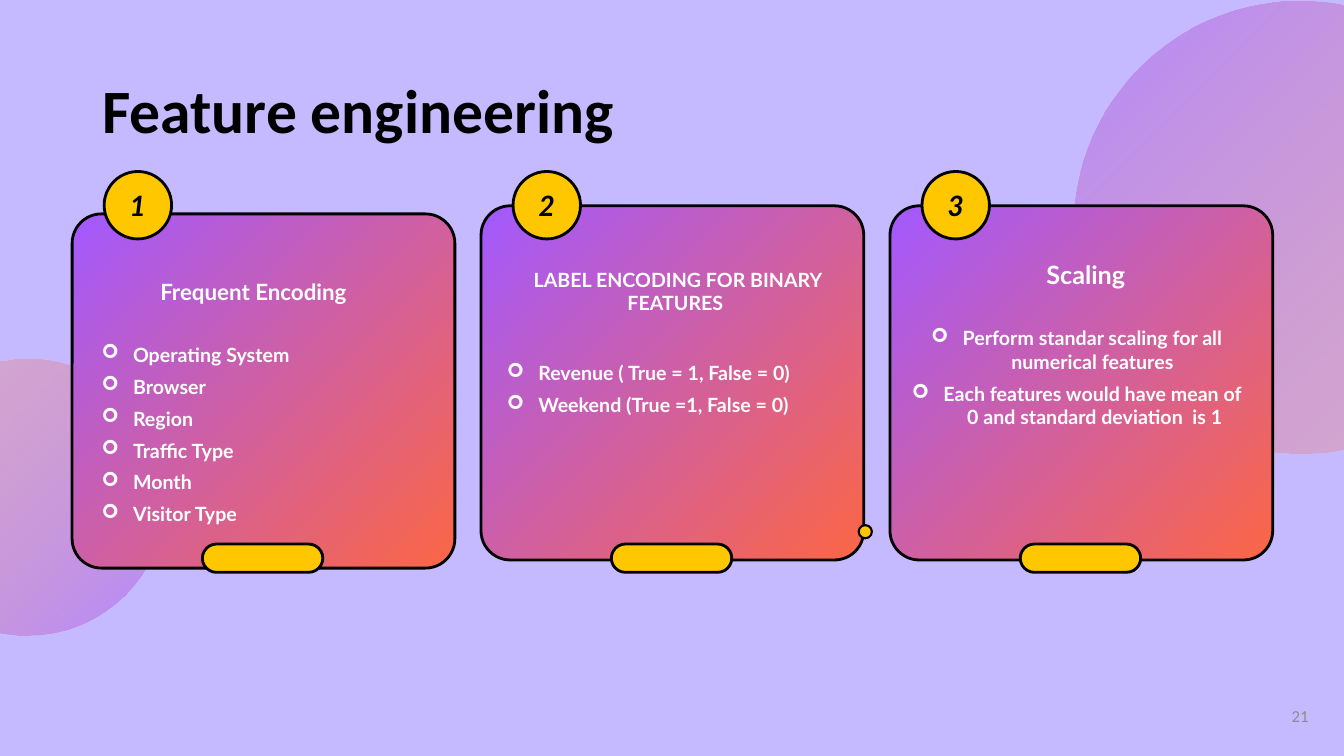
import math

import pptx
import pptx.util
import pptx.dml.color
import pptx.enum.shapes
import pptx.enum.text
import pptx.oxml.ns
from lxml import etree

Pt = pptx.util.Pt
RGBColor = pptx.dml.color.RGBColor
SHAPES = pptx.enum.shapes.MSO_SHAPE
ANCHOR = pptx.enum.text.MSO_ANCHOR
ALIGN = pptx.enum.text.PP_ALIGN
qn = pptx.oxml.ns.qn

LAVENDER = RGBColor(0xC5, 0xBA, 0xFF)
ORANGE = RGBColor(0xFC, 0x66, 0x45)
PURPLE = RGBColor(0xA2, 0x59, 0xFF)
YELLOW = RGBColor(0xFF, 0xC7, 0x00)
BLACK = RGBColor(0, 0, 0)
WHITE = RGBColor(0xFF, 0xFF, 0xFF)
GREY = RGBColor(0x8C, 0x8C, 0x8C)

TITLE = "Feature engineering"
PAGE_NUMBER = "21"
CARDS = [
    dict(top=152.8, heading="Frequent Encoding", heading_size=16,
         heading_at=(114.5, 195.1), heading_align=ALIGN.LEFT,
         points=["Operating System", "Browser", "Region", "Traffic Type", "Month",
                 "Visitor Type"],
         points_at=(72.5, 241.2), points_height=54.7, points_align=ALIGN.LEFT),
    dict(top=147, heading=" LABEL ENCODING FOR BINARY FEATURES", heading_size=14,
         heading_at=(364.3, 187.7), heading_align=ALIGN.CENTER,
         points=["Revenue ( True = 1, False = 0)", "Weekend (True =1, False = 0)"],
         points_at=(362, 254.2), points_height=54.7, points_align=ALIGN.LEFT),
    dict(top=147, heading="Scaling", heading_size=18,
         heading_at=(657.5, 181.4), heading_align=ALIGN.CENTER,
         points=["Perform standar scaling for all numerical features",
                 "Each features would have mean of  0 and standard deviation  is 1"],
         points_at=(651, 229.5), points_height=146.2, points_align=ALIGN.CENTER),
]

SLIDE_WIDTH, SLIDE_HEIGHT = 960, 540
BACKDROPS = [
    dict(center=(19.4, 355), radius=98.6, edge=0, side=1, angle=315),
    dict(center=(928.8, 162), radius=161.7, edge=SLIDE_WIDTH, side=-1, angle=135),
]
CARD_LEFT, CARD_PITCH, CARD_WIDTH, CARD_HEIGHT = 51.5, 292.1, 273.4, 253
BADGE_OFFSET, BADGE_TOP, BADGE_SIZE = 22.9, 122.5, 48.2
PILL_OFFSET, PILL_TOP, PILL_WIDTH, PILL_HEIGHT = 93.1, 388.6, 86, 20.2
TEXT_WIDTH, HEADING_HEIGHT = 236.2, 54.7
BULLET_INDENT = 22.5

deck = pptx.Presentation()
deck.slide_width, deck.slide_height = Pt(SLIDE_WIDTH), Pt(SLIDE_HEIGHT)
slide = deck.slides.add_slide(deck.slide_layouts[6])
slide.background.fill.solid()
slide.background.fill.fore_color.rgb = LAVENDER


def write(frame, lines, size, font="Lato", color=WHITE, bold=True, italic=False,
          align=ALIGN.LEFT, anchor=ANCHOR.TOP, side_inset=0, space_before=0,
          line_spacing=None, bullet=None):
    frame.word_wrap = True
    frame.vertical_anchor = anchor
    frame.margin_left = frame.margin_right = Pt(side_inset)
    for index, line in enumerate(lines):
        paragraph = frame.add_paragraph() if index else frame.paragraphs[0]
        paragraph.alignment = align
        paragraph.space_before = Pt(space_before)
        if line_spacing:
            paragraph.line_spacing = line_spacing
        if bullet:
            props = paragraph._p.get_or_add_pPr()
            props.set("marL", str(Pt(BULLET_INDENT)))
            props.set("indent", str(-Pt(BULLET_INDENT)))
            etree.SubElement(props, qn("a:buFont")).set("typeface", "Wingdings")
            etree.SubElement(props, qn("a:buChar")).set("char", bullet)
        run = paragraph.add_run()
        run.text = line
        run.font.name, run.font.size = font, Pt(size)
        run.font.bold, run.font.italic = bold, italic
        run.font.color.rgb = color


def text_box(left, top, width, height, lines, **style):
    box = slide.shapes.add_textbox(Pt(left), Pt(top), Pt(width), Pt(height))
    write(box.text_frame, lines, **style)


def paint_gradient(shape, angle, opacities=()):
    shape.shadow.inherit = False
    shape.fill.gradient()
    shape.fill.gradient_angle = angle
    for stop, color in zip(shape.fill.gradient_stops, (ORANGE, PURPLE)):
        stop.color.rgb = color
    colors = list(shape._element.spPr.iter(qn("a:srgbClr")))
    for color, opacity in zip(colors, opacities):
        etree.SubElement(color, qn("a:alpha")).set("val", str(opacity * 1000))


def outlined(kind, left, top, width, height, line=2, corner=None):
    shape = slide.shapes.add_shape(kind, Pt(left), Pt(top), Pt(width), Pt(height))
    shape.shadow.inherit = False
    shape.fill.solid()
    shape.fill.fore_color.rgb = YELLOW
    shape.line.color.rgb, shape.line.width = BLACK, Pt(line)
    if corner is not None:
        shape.adjustments[0] = corner
    return shape


def add_backdrop(center, radius, edge, side, angle):
    def on_rim(turn, along=0):
        x = math.cos(turn) - along * math.sin(turn)
        y = math.sin(turn) + along * math.cos(turn)
        return Pt(center[0] + side * radius * x), Pt(center[1] + radius * y)

    cut = math.acos(side * (edge - center[0]) / radius)
    turns = [cut, math.pi / 2, 0, -math.pi / 2, -cut]
    curve = []
    for start, end in zip(turns, turns[1:]):
        reach = 4 / 3 * math.tan((end - start) / 4)
        curve += [on_rim(start, reach), on_rim(end, -reach), on_rim(end)]
    builder = slide.shapes.build_freeform(*on_rim(cut))
    builder.add_line_segments(curve, close=True)
    circle = builder.convert_to_shape()
    segments = list(circle._element.spPr.iter(qn("a:lnTo")))
    for first in range(0, len(segments), 3):
        bend = etree.Element(qn("a:cubicBezTo"))
        segments[first].addprevious(bend)
        for segment in segments[first:first + 3]:
            bend.append(segment[0])
            segment.getparent().remove(segment)
    paint_gradient(circle, angle, opacities=(25, 50))
    circle.line.fill.background()


for backdrop in BACKDROPS:
    add_backdrop(**backdrop)

text_box(66, 28.8, 828, 104.4, [TITLE], size=44, font="Calibri", color=BLACK,
         anchor=ANCHOR.MIDDLE, side_inset=7.2, line_spacing=0.9)
text_box(909.4, 496.8, 32.4, 28.8, [PAGE_NUMBER], size=12, font="Calibri", color=GREY,
         bold=False, align=ALIGN.RIGHT, anchor=ANCHOR.MIDDLE, side_inset=7.2)

for number, card in enumerate(CARDS, 1):
    left = CARD_LEFT + (number - 1) * CARD_PITCH
    panel = outlined(SHAPES.ROUNDED_RECTANGLE, left, card["top"], CARD_WIDTH, CARD_HEIGHT,
                     corner=0.083)
    paint_gradient(panel, 135)
    outlined(SHAPES.ROUNDED_RECTANGLE, left + PILL_OFFSET, PILL_TOP, PILL_WIDTH, PILL_HEIGHT,
             corner=0.5)
    text_box(*card["heading_at"], TEXT_WIDTH, HEADING_HEIGHT, [card["heading"]],
             size=card["heading_size"], align=card["heading_align"], space_before=6)
    badge = outlined(SHAPES.OVAL, left + BADGE_OFFSET, BADGE_TOP, BADGE_SIZE, BADGE_SIZE)
    write(badge.text_frame, [str(number)], size=20, color=BLACK, italic=True,
          align=ALIGN.CENTER, anchor=ANCHOR.MIDDLE)
    text_box(*card["points_at"], TEXT_WIDTH, card["points_height"], card["points"], size=14,
             align=card["points_align"], space_before=6, bullet="➢")

outlined(SHAPES.OVAL, 613.4, 375.1, 9.4, 9.4, line=1.5)

deck.save("out.pptx")
